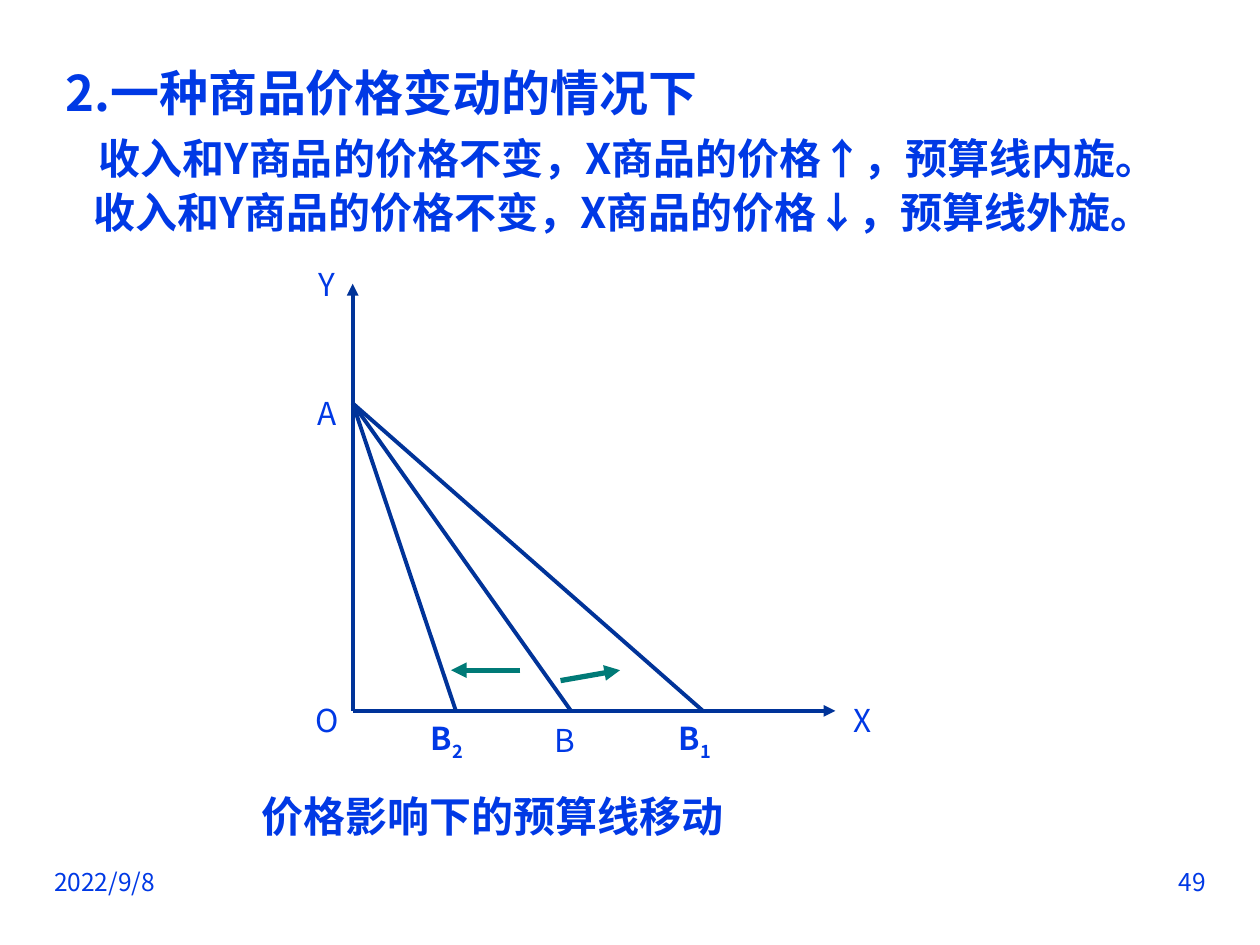
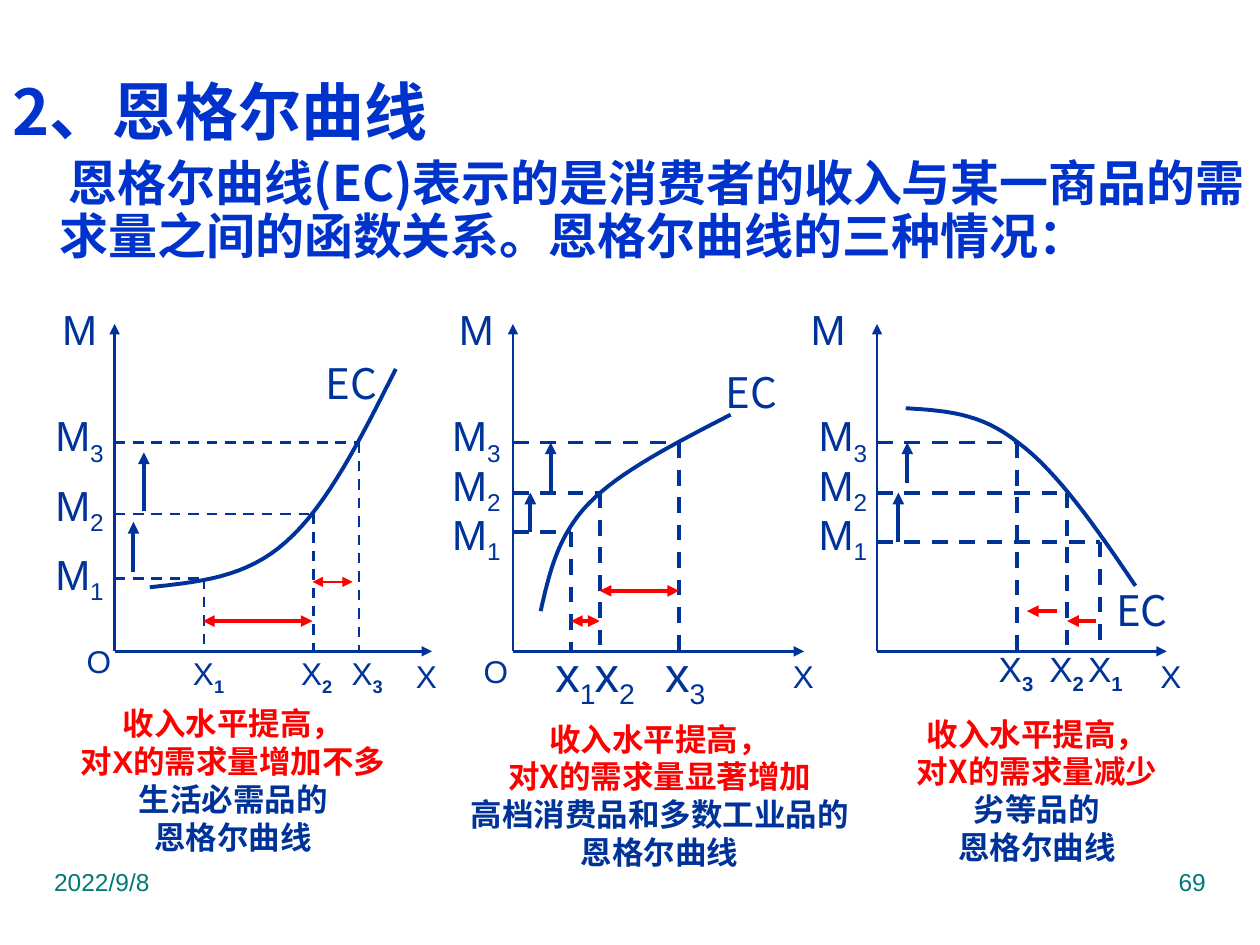
from lxml import etree
from pptx import Presentation
from pptx import util as u
from pptx.dml.color import RGBColor
from pptx.enum import dml, shapes, text
from pptx.oxml.ns import qn

BLUE = RGBColor(0x00, 0x39, 0xE5)
ROYAL = RGBColor(0x00, 0x33, 0xCC)
NAVY = RGBColor(0x00, 0x33, 0x99)
TEAL = RGBColor(0x00, 0x7A, 0x77)
RED = RGBColor(0xFF, 0x00, 0x00)
CJK = "Noto Sans CJK SC"
LATIN = "Arial"
LEFT, CENTER, RIGHT = text.PP_ALIGN.LEFT, text.PP_ALIGN.CENTER, text.PP_ALIGN.RIGHT


def bezier(a, b, c, d, steps=16):
    for i in range(1, steps + 1):
        t = i / steps
        w = ((1 - t) ** 3, 3 * t * (1 - t) ** 2, 3 * t * t * (1 - t), t ** 3)
        yield tuple(sum(k * q[n] for k, q in zip(w, (a, b, c, d))) for n in (0, 1))


class Deck:
    def __init__(self):
        self.prs = Presentation()
        self.prs.slide_width, self.prs.slide_height = u.Cm(25.4), u.Cm(19.05)
        self.s = None
        self.font, self.color = CJK, BLUE

    def slide(self, font, color, number, footer_color):
        self.s = self.prs.slides.add_slide(self.prs.slide_layouts[6])
        self.font, self.color = font, color
        for x, content, align in ((0.84, "2022/9/8", LEFT), (18.21, number, RIGHT)):
            tf = self.box(x, 17.35, 6.35, 1.32)
            self.para(tf, content, 14, align=align, color=footer_color)

    def box(self, x, y, w, h, centered=False):
        tf = self.s.shapes.add_textbox(*map(u.Cm, (x, y, w, h))).text_frame
        tf.word_wrap = not centered
        if centered:
            tf.vertical_anchor = text.MSO_ANCHOR.MIDDLE
            tf.margin_left = tf.margin_right = 0
        return tf

    def para(self, tf, content, size, bold=False, align=LEFT, color=None, font=None, sub_bold=None):
        p = tf.paragraphs[0]
        if p.runs:
            p = tf.add_paragraph()
        p.alignment = align
        f = p.font
        f.size, f.bold, f.name = u.Pt(size), bold, font or self.font
        f.color.rgb = color or self.color
        defaults = p._p.pPr.find(qn("a:defRPr"))
        etree.SubElement(defaults, qn("a:ea")).set("typeface", CJK)
        base, _, sub = content.partition("_")
        p.add_run().text = base
        if sub:
            r = p.add_run()
            r.text = sub
            r.font.bold = sub_bold
            r._r.get_or_add_rPr().set("baseline", "-25000")
        return p

    def body(self, x, y, w, h, lines):
        tf = self.box(x, y, w, h)
        for content, size, first, before in lines:
            p = self.para(tf, content, size, bold=True)
            p.line_spacing = 0.9
            p.space_before = u.Pt(before)
            pPr = p._p.get_or_add_pPr()
            pPr.set("marL", str(u.Cm(0.95)))
            pPr.set("indent", str(u.Cm(first)))

    def label(self, content, x, y, w, h, size=18, bold=False, sub_bold=None):
        tf = self.box(x, y, w, h, centered=True)
        self.para(tf, content, size, bold, CENTER, sub_bold=sub_bold)

    def mark(self, content, x, y, size=24, w=0.61, h=0.61, sub_bold=None):
        sp = self.s.shapes.add_shape(shapes.MSO_SHAPE.OVAL, *map(u.Cm, (x, y, w, h)))
        sp.shadow.inherit = False
        sp.fill.background()
        sp.line.fill.background()
        tf = sp.text_frame
        tf.word_wrap = False
        tf.vertical_anchor = text.MSO_ANCHOR.MIDDLE
        self.para(tf, content, size, align=CENTER, sub_bold=sub_bold)

    def line(self, start, end, width=2.25, color=NAVY, ends=(), dash=False):
        sp = self.s.shapes.add_connector(
            shapes.MSO_CONNECTOR.STRAIGHT, *map(u.Cm, (*start, *end)))
        sp.line.color.rgb = color
        sp.line.width = u.Pt(width)
        if dash:
            sp.line.dash_style = dml.MSO_LINE.DASH
        for end_name in ends:
            etree.SubElement(sp.line._get_or_add_ln(), qn("a:" + end_name)).set("type", "triangle")
        etree.SubElement(sp._element.spPr, qn("a:effectLst"))

    def arrow(self, start, end, width=2.25, color=NAVY, both=False):
        self.line(start, end, width, color, ("headEnd", "tailEnd") if both else ("tailEnd",))

    def curve(self, nodes):
        points = [q for i in range(0, len(nodes) - 1, 3) for q in bezier(*nodes[i:i + 4])]
        fb = self.s.shapes.build_freeform(*map(u.Cm, nodes[0]))
        fb.add_line_segments([(u.Cm(x), u.Cm(y)) for x, y in points], close=False)
        sp = fb.convert_to_shape()
        sp.shadow.inherit = False
        sp.fill.background()
        sp.line.color.rgb = NAVY
        sp.line.width = u.Pt(2.25)

    def axes(self, x, y, right, top, width):
        self.arrow((x, y), (right, y), width)
        self.arrow((x, y), (x, top), width)


def budget_slide(d):
    d.slide(CJK, BLUE, "49", BLUE)
    d.body(1.07, 1.27, 23.5, 15.67, [
        ("2.一种商品价格变动的情况下", 28, -0.95, 5.6),
        ("收入和Y商品的价格不变，X商品的价格↑，预算线内旋。", 24, -0.28, 9.4),
        ("收入和Y商品的价格不变，X商品的价格↓，预算线外旋。", 24, -0.38, 4.8),
    ])
    x0, y0 = 7.11, 14.33
    d.axes(x0, y0, 16.84, 5.72, 2.25)
    for x in (9.19, 11.51, 14.17):
        d.line((x0, 8.13), (x, y0))
    for name, x, y in (("Y", 5.89, 5.13), ("A", 5.89, 7.72), ("O", 5.89, 13.92),
                       ("X", 16.69, 13.92), ("B_2", 8.31, y0), ("B", 10.69, y0),
                       ("B_1", 13.31, y0)):
        d.label(name, x, y, 1.4, 1.19, bold="_" in name)
    p = d.para(d.box(3.6, 15.93, 12.65, 1.6), "价格影响下的预算线移动", 24, True, CENTER)
    p.line_spacing = 0.9
    d.arrow((11.3, 13.72), (12.5, 13.51), 3, TEAL)
    d.arrow((10.49, 13.51), (9.09, 13.51), 3, TEAL)


def engel_graph(d, x0, right, nodes, points, dash_width, m_axis, m_left, m_tops, ec, x_left, rises):
    y0 = 13.13
    d.axes(x0, y0, right, 6.53, 1.5)
    d.curve(nodes)
    for x, y in points:
        d.line((x0, y), (x, y), dash_width, dash=True)
        d.line((x, y), (x, y0), dash_width, dash=True)
    d.mark("M", m_axis, 6.32)
    for i, top in enumerate(m_tops, 1):
        d.mark(f"M_{i}", m_left, top)
    d.para(d.box(*ec, 1.83, 1.27), "EC", 24, font=CJK)
    d.label("X", x_left, y0, 0.99, 0.99)
    for x, low, high in rises:
        d.arrow((x, low), (x, high))


def engel_slide(d):
    d.slide(LATIN, ROYAL, "69", TEAL)
    d.font = CJK
    d.body(0, 1.52, 25.4, 4.19, [
        ("2、恩格尔曲线", 36, -0.95, 7.2),
        ("恩格尔曲线(EC)表示的是消费者的收入与某一商品的需求量之间的函数关系。"
         "恩格尔曲线的三种情况：", 28, 0.19, 5.6),
    ])
    d.font, d.color = LATIN, NAVY
    engel_graph(
        d, 2.31, 8.71,
        [(3.02, 11.84), (3.99, 11.73), (4.95, 11.66), (5.77, 10.92),
         (6.6, 10.19), (7.29, 8.81), (7.98, 7.44)],
        [(4.11, 11.66), (6.32, 10.36), (7.24, 8.92)], 1.5,
        1.3, 1.3, (11.33, 9.93, 8.53), (6.32, 7.09), 8.1,
        [(2.69, 11.53, 10.52), (2.9, 10.31, 9.12)])
    engel_graph(
        d, 10.34, 16.21,
        [(10.9, 12.32), (11.07, 11.58), (11.23, 10.82), (11.86, 10.16),
         (12.5, 9.5), (13.61, 8.94), (14.73, 8.36)],
        [(11.51, 10.72), (12.09, 9.93), (13.69, 8.92)], 2.25,
        9.3, 9.3, (10.52, 9.53, 8.53), (14.38, 7.26), 15.7,
        [(10.69, 10.72, 9.93), (11.1, 9.93, 8.92)])
    engel_graph(
        d, 17.68, 23.52,
        [(18.26, 8.23), (19.02, 8.28), (19.76, 8.31), (20.52, 8.92),
         (21.31, 9.5), (22.1, 10.64), (22.89, 11.81)],
        [(22.17, 10.92), (21.51, 9.93), (20.5, 8.92)], 2.25,
        16.39, 16.69, (10.52, 9.53, 8.53), (22.25, 11.66), 23.11,
        [(18.11, 10.92, 9.93), (18.29, 9.73, 8.92)])
    for i, (x1, x2, x3) in enumerate(zip((3.71, 5.89, 6.91), (11.3, 12.09, 13.51),
                                         (21.89, 21.11, 20.09)), 1):
        d.label(f"X_{i}", x1, 13.13, 0.99, 0.99, sub_bold=True)
        d.mark(f"x_{i}", x2, 13.34, 28)
        d.mark(f"X_{i}", x3, 13.13, 20, 0.79, 0.81, sub_bold=True)
    for x, y in ((1.5, 12.73), (9.5, 12.93)):
        d.label("O", x, y, 0.99, 1.19)
    for start, end, y, width, both in (
            (4.09, 6.3, 12.52, 2.25, True), (6.3, 7.11, 11.73, 1.5, True),
            (11.51, 12.09, 12.52, 2.25, True), (12.09, 13.69, 11.91, 2.25, True),
            (22.1, 21.51, 12.52, 2.25, False), (21.31, 20.7, 12.32, 2.25, False)):
        d.arrow((start, y), (end, y), width, RED, both)
    for area, font, effect, goods in (
            ((1.2, 14.12, 7, 3.2), LATIN, "对X的需求量增加不多", "生活必需品的"),
            ((9.1, 14.33, 8.4, 3.4), CJK, "对X的需求量显著增加", "高档消费品和多数工业品的"),
            ((17.91, 14.33, 5.99, 3.2), CJK, "对X的需求量减少", "劣等品的")):
        tf = d.box(*area, centered=True)
        for content, color in (("收入水平提高，", RED), (effect, RED),
                               (goods, NAVY), ("恩格尔曲线", NAVY)):
            d.para(tf, content, 18, True, CENTER, color, font)


def main():
    d = Deck()
    budget_slide(d)
    engel_slide(d)
    d.prs.save("out.pptx")


if __name__ == "__main__":
    main()
